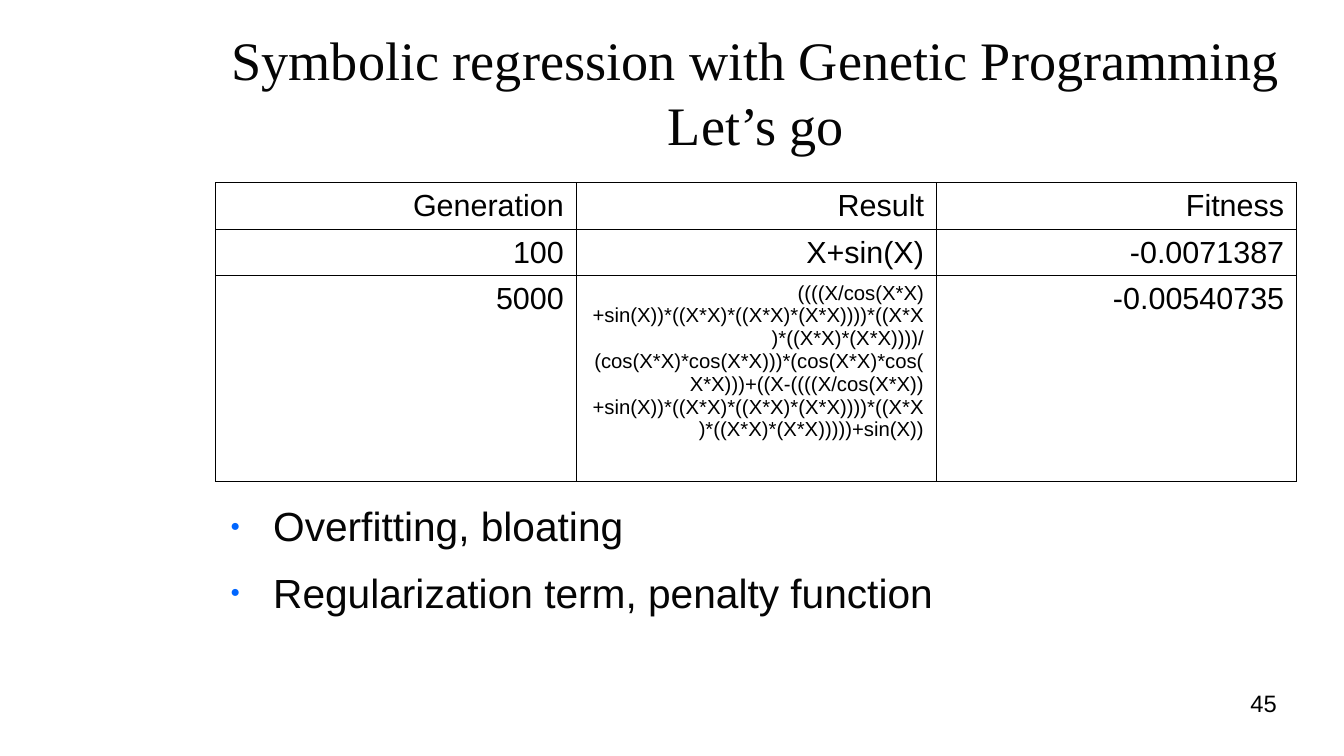
from typing import NamedTuple

from lxml import etree
from pptx import Presentation
from pptx.dml.color import RGBColor
from pptx.enum.text import MSO_ANCHOR, MSO_AUTO_SIZE, PP_ALIGN
from pptx.oxml.ns import qn
from pptx.util import Emu, Inches, Pt

LEFT, CENTER, RIGHT = PP_ALIGN.LEFT, PP_ALIGN.CENTER, PP_ALIGN.RIGHT
TOP, MIDDLE = MSO_ANCHOR.TOP, MSO_ANCHOR.MIDDLE
NO_AUTOFIT = MSO_AUTO_SIZE.NONE

BLACK = RGBColor(0x00, 0x00, 0x00)
INK = RGBColor(0x05, 0x05, 0x05)
BULLET_BLUE = RGBColor(0x00, 0x66, 0xFF)
WHITE = RGBColor(0xFF, 0xFF, 0xFF)

SLIDE_WIDTH, SLIDE_HEIGHT = Inches(11.02), Inches(6.2)
BORDER_WIDTH = Pt(0.57)
BORDER_SIDES = ("a:lnL", "a:lnR", "a:lnT", "a:lnB")


class Area(NamedTuple):
    """A rectangle in inches."""
    left: float
    top: float
    width: float
    height: float

    def emu(self) -> tuple[Emu, ...]:
        """Return the rectangle as lengths for python-pptx."""
        return tuple(Inches(length) for length in self)


class Run(NamedTuple):
    """One row of the experiment: its values and its height."""
    generation: str
    result: str
    fitness: str
    height: float
    result_size: float = 18


CONTENT_LEFT, CONTENT_WIDTH = 1.77, 8.86
TITLE_AREA = Area(CONTENT_LEFT, 0.24, CONTENT_WIDTH, 1.02)
RUNS_AREA = Area(CONTENT_LEFT, 1.5, CONTENT_WIDTH, 2.45)
REMARKS_AREA = Area(CONTENT_LEFT, 4.11, CONTENT_WIDTH, 1.32)
NUMBER_AREA = Area(7.9, 5.65, 2.57, 0.43)

BLOATED_FORMULA = (
    "((((X/cos(X*X)+sin(X))*((X*X)*((X*X)*(X*X))))*((X*X)*((X*X)*(X*X))))"
    "/(cos(X*X)*cos(X*X)))*(cos(X*X)*cos(X*X)))"
    "+((X-((((X/cos(X*X))+sin(X))*((X*X)*((X*X)*(X*X))))"
    "*((X*X)*((X*X)*(X*X)))))+sin(X))"
)
RUNS = (
    Run("Generation", "Result", "Fitness", 0.38),
    Run("100", "X+sin(X)", "-0.0071387", 0.38),
    Run("5000", BLOATED_FORMULA, "-0.00540735", 1.69, result_size=12),
)
REMARKS = ("Overfitting, bloating", "Regularization term, penalty function")


def write(frame, *lines: str, size: float, color=BLACK, font="Arial",
          align=LEFT, anchor=TOP, space_after: float = 0) -> None:
    """Fill a text frame with one formatted paragraph per line."""
    frame.word_wrap = True
    frame.vertical_anchor = anchor
    for index, line in enumerate(lines):
        paragraph = frame.paragraphs[0] if index == 0 else frame.add_paragraph()
        paragraph.text = line
        paragraph.alignment = align
        paragraph.space_after = Pt(space_after)
        for run in paragraph.runs:
            run.font.size = Pt(size)
            run.font.name = font
            run.font.color.rgb = color


def clear_margins(frame) -> None:
    """Remove the inner margins and the automatic fit of a text frame."""
    frame.margin_left = frame.margin_right = 0
    frame.margin_top = frame.margin_bottom = 0
    frame.auto_size = NO_AUTOFIT


def add_text(slide, area: Area, *lines: str, **style):
    """Add a text box without margins and return its frame."""
    frame = slide.shapes.add_textbox(*area.emu()).text_frame
    clear_margins(frame)
    write(frame, *lines, **style)
    return frame


def add_bullets(frame) -> None:
    """Give each paragraph a small coloured dot and a hanging indent."""
    for paragraph in frame.paragraphs:
        properties = paragraph._p.get_or_add_pPr()
        properties.set("marL", str(Inches(0.47)))
        properties.set("indent", str(-Inches(0.35)))
        bullet_color = etree.SubElement(properties, qn("a:buClr"))
        etree.SubElement(bullet_color, qn("a:srgbClr"), val=str(BULLET_BLUE))
        etree.SubElement(properties, qn("a:buSzPct"), val="40000")
        etree.SubElement(properties, qn("a:buFont"), typeface="Arial")
        etree.SubElement(properties, qn("a:buChar"), char="●")


def add_borders(cell) -> None:
    """Draw a thin line on all four sides of a cell."""
    properties = cell._tc.get_or_add_tcPr()
    for position, side in enumerate(BORDER_SIDES):
        border = etree.Element(qn(side), w=str(BORDER_WIDTH))
        fill = etree.SubElement(border, qn("a:solidFill"))
        etree.SubElement(fill, qn("a:srgbClr"), val=str(BLACK))
        properties.insert(position, border)


def add_runs_table(slide) -> None:
    """Add the table of generations, results and fitness values."""
    columns = 3
    table = slide.shapes.add_table(len(RUNS), columns, *RUNS_AREA.emu()).table
    table.first_row = table.horz_banding = False
    for column in table.columns:
        column.width = Inches(RUNS_AREA.width / columns)
    for row, run in zip(table.rows, RUNS):
        row.height = Inches(run.height)
        values = (run.generation, run.result, run.fitness)
        sizes = (18, run.result_size, 18)
        for cell, value, size in zip(row.cells, values, sizes):
            write(cell.text_frame, value, size=size, align=RIGHT)
            cell.fill.solid()
            cell.fill.fore_color.rgb = WHITE
            add_borders(cell)


def add_title(slide) -> None:
    """Place and fill the title placeholder."""
    title = slide.shapes.title
    title.left, title.top, title.width, title.height = TITLE_AREA.emu()
    clear_margins(title.text_frame)
    write(title.text_frame,
          "Symbolic regression with Genetic Programming\vLet’s go",
          size=32, color=INK, font="Times New Roman", align=CENTER,
          anchor=MIDDLE)


def main() -> None:
    """Build the slide and save it."""
    deck = Presentation()
    deck.slide_width, deck.slide_height = SLIDE_WIDTH, SLIDE_HEIGHT
    title_only = deck.slide_layouts[5]
    slide = deck.slides.add_slide(title_only)
    add_title(slide)
    add_runs_table(slide)
    remarks = add_text(slide, REMARKS_AREA, *REMARKS, size=24, color=INK,
                       space_after=10.6)
    add_bullets(remarks)
    add_text(slide, NUMBER_AREA, "45", size=14, align=RIGHT)
    deck.save("out.pptx")


main()
